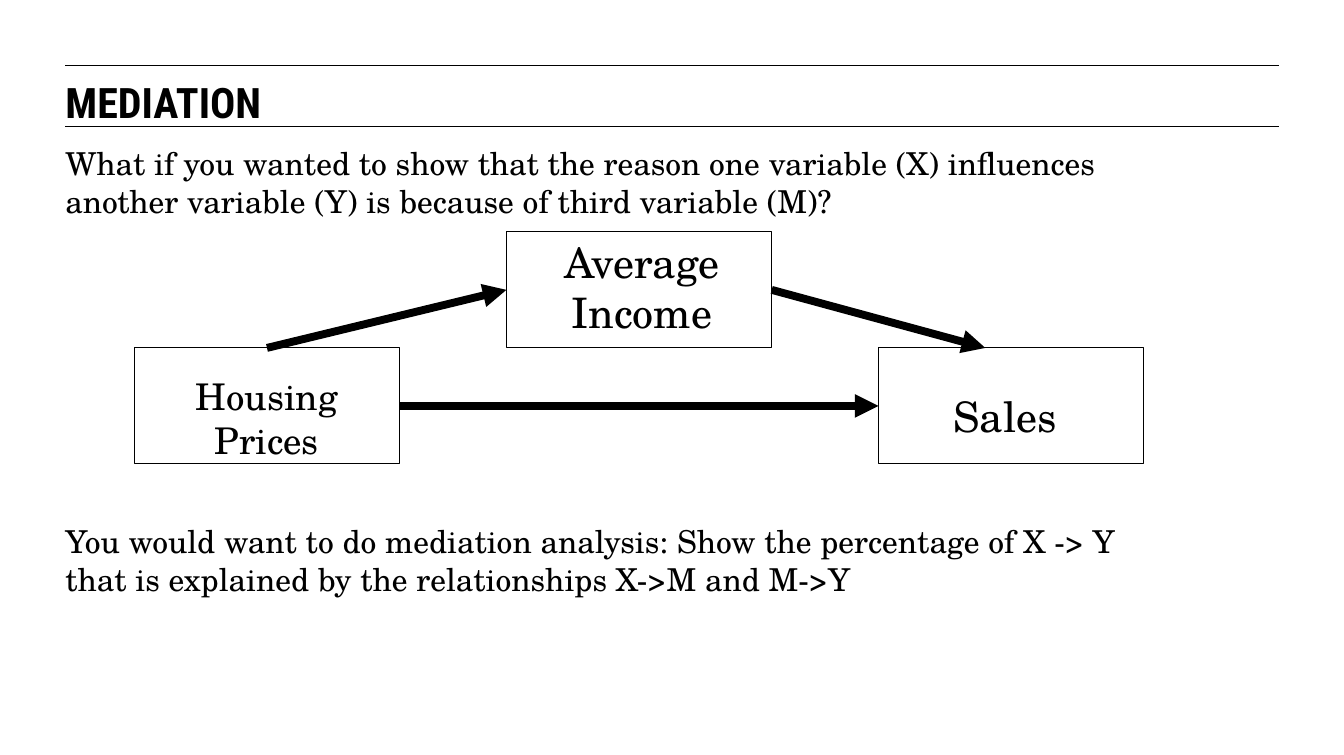
from dataclasses import dataclass
from typing import Any, Optional

from pptx import Presentation
from pptx.dml.color import RGBColor
from pptx.enum.shapes import MSO_CONNECTOR, MSO_SHAPE
from pptx.enum.text import MSO_ANCHOR, PP_ALIGN
from pptx.oxml.ns import qn
from pptx.util import Cm, Pt
from lxml.etree import SubElement

COLORS = {"ink": "000000", "paper": "FFFFFF"}
HEAD, BODY = "Roboto Condensed", "TeX Gyre Schola"
EDGE = 1.76  # left margin of rules and text
WIDE, HIGH = 7.13, 3.12  # box size
LEFT, STEP = 3.61, 10.0  # first box and distance to the next
UPPER = 6.23
LOWER = UPPER + HIGH
TOP, SIDE, RIGHT = 0, 1, 3  # connection sites


@dataclass
class Box:
    key: str
    col: int
    top: float


@dataclass
class Label:
    text: str
    area: tuple[float, float, float, float]
    size: int
    align: Any = PP_ALIGN.CENTER


@dataclass
class Arrow:
    start: str
    site: int
    end: str
    goal: Optional[int]  # None leaves the head free
    points: tuple[float, float, float, float]


BOXES = [Box("X", 0, LOWER), Box("Y", 2, LOWER), Box("M", 1, UPPER)]
LABELS = [
    Label("Housing Prices", (4.33, 9.91, 5.69, 2.64), 28),
    Label("Sales", (25.37, 10.36, 4.57, 1.63), 32, PP_ALIGN.LEFT),
    Label("Average\nIncome", (14.23, 6.22, 6.05, 3.0), 32),
]
MID = LEFT + STEP
FAR = MID + STEP
ARROWS = [
    Arrow("X", TOP, "M", SIDE, (LEFT + WIDE / 2, LOWER, MID, UPPER + HIGH / 2)),
    Arrow("X", RIGHT, "Y", SIDE,
          (LEFT + WIDE, LOWER + HIGH / 2, FAR, LOWER + HIGH / 2)),
    Arrow("M", RIGHT, "Y", None, (MID + WIDE, UPPER + HIGH / 2, 26.48, LOWER)),
]


def color(name: str) -> RGBColor:
    return RGBColor.from_string(COLORS[name])


def add_text(slide: Any, text: str, area: tuple[float, float, float, float], *,
             size: int, font: str = BODY, bold: bool = False,
             align: Any = PP_ALIGN.LEFT, inset: bool = True,
             gap: float = 0) -> None:
    frame = slide.shapes.add_textbox(*map(Cm, area)).text_frame
    frame.word_wrap = True
    frame.vertical_anchor = MSO_ANCHOR.TOP
    if not inset:
        frame.margin_left = frame.margin_right = 0
        frame.margin_top = frame.margin_bottom = 0
    frame.text = text
    for index, para in enumerate(frame.paragraphs):
        para.alignment = align
        para.space_before = Pt(gap if index else 0)
        style = para.runs[0].font
        style.name, style.size, style.bold = font, Pt(size), bold
        style.color.rgb = color("ink")


def add_line(slide: Any, points: tuple[float, float, float, float],
             width: float) -> Any:
    line = slide.shapes.add_connector(MSO_CONNECTOR.STRAIGHT, *map(Cm, points))
    line.line.width = Pt(width)
    line.line.color.rgb = color("ink")
    SubElement(line._element.spPr, qn("a:effectLst"))
    return line


def add_box(slide: Any, box: Box) -> Any:
    shape = slide.shapes.add_shape(
        MSO_SHAPE.RECTANGLE, Cm(LEFT + box.col * STEP), Cm(box.top),
        Cm(WIDE), Cm(HIGH))
    shape.shadow.inherit = False
    shape.fill.solid()
    shape.fill.fore_color.rgb = color("paper")
    shape.line.width = Pt(0.75)
    shape.line.color.rgb = color("ink")
    return shape


def add_arrow(slide: Any, arrow: Arrow, shapes: dict[str, Any]) -> None:
    line = add_line(slide, arrow.points, 6)
    line.begin_connect(shapes[arrow.start], arrow.site)
    if arrow.goal is not None:
        line.end_connect(shapes[arrow.end], arrow.goal)
    SubElement(line.line._get_or_add_ln(), qn("a:tailEnd"), type="triangle")


def main() -> None:
    deck = Presentation()
    deck.slide_width, deck.slide_height = Cm(36.12), Cm(20.29)
    slide = deck.slides.add_slide(deck.slide_layouts[6])
    slide.background.fill.solid()
    slide.background.fill.fore_color.rgb = color("paper")

    # Title between two rules
    for y in (1.75, 3.39):
        add_line(slide, (EDGE, y, 34.36, y), 0.75)
    add_text(slide, "MEDIATION", (EDGE, 2.06, 32.59, 1.19),
             size=32, font=HEAD, bold=True, inset=False)

    # Question above the diagram, answer below it
    add_text(
        slide,
        "What if you wanted to show that the reason one variable (X) influences "
        "another variable (Y) is because of third variable (M)?\n"
        "You would want to do mediation analysis: Show the percentage of X -> Y "
        "that is explained by the relationships X->M and M->Y",
        (EDGE, 3.87, 29.92, 13.87), size=24, inset=False, gap=230.5)

    # Mediation diagram
    shapes = {box.key: add_box(slide, box) for box in BOXES}
    for arrow in ARROWS:
        add_arrow(slide, arrow, shapes)
    for label in LABELS:
        add_text(slide, label.text, label.area, size=label.size,
                 align=label.align)

    deck.save("out.pptx")


if __name__ == "__main__":
    main()
